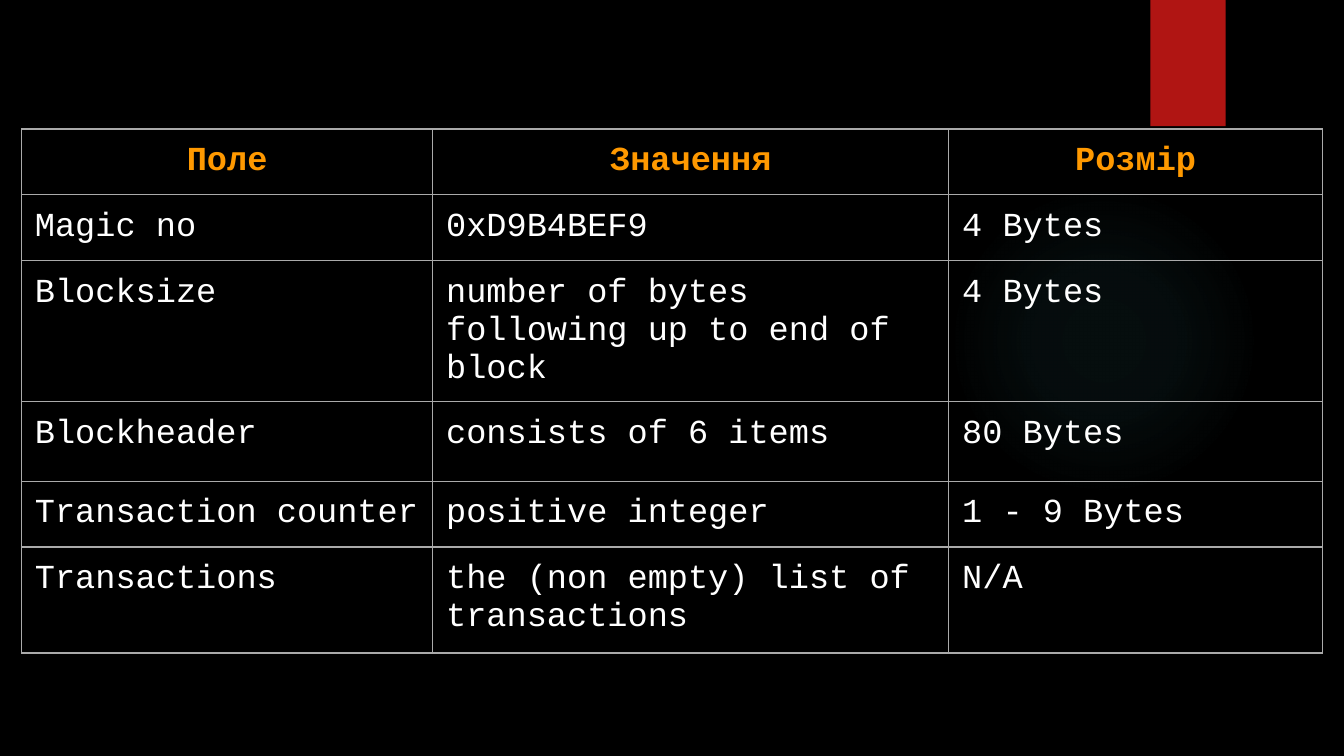
from pptx import Presentation
from pptx.dml.color import RGBColor
from pptx.enum.shapes import MSO_SHAPE as Shape
from pptx.enum.text import PP_ALIGN as Align
from pptx.oxml import parse_xml
from pptx.oxml.ns import nsdecls
from pptx.util import Inches, Pt

ROWS = [
    ("Поле", "Значення", "Розмір"),
    ("Magic no", "0xD9B4BEF9", "4 Bytes"),
    ("Blocksize", "number of bytes following up to end of block", "4 Bytes"),
    ("Blockheader", "consists of 6 items", "80 Bytes"),
    ("Transaction counter", "positive integer", "1 - 9 Bytes"),
    ("Тransactions", "the (non empty) list of transactions", "N/A"),
]
COLUMN_WIDTHS = (3.06, 3.84, 2.78)
ROW_HEIGHTS = (0.49, 0.49, 0.79, 0.59, 0.49, 0.79)
TABLE_HEIGHT = 3.99
GLOW_STOPS = ((0, 7), (36, 6), (69, 0))

BLACK = RGBColor(0x00, 0x00, 0x00)
WHITE = RGBColor(0xFF, 0xFF, 0xFF)
ORANGE = RGBColor(0xFF, 0x99, 0x00)
RED = RGBColor(0xB0, 0x15, 0x13)
GRAY = RGBColor(0xAA, 0xAA, 0xAA)
TEAL = RGBColor(0x50, 0xB9, 0xC1)
FONT = "Courier New"


def add_plain_shape(slide, kind, left, top, width, height):
    shape = slide.shapes.add_shape(
        kind, Inches(left), Inches(top), Inches(width), Inches(height))
    shape.shadow.inherit = False
    shape.line.fill.background()
    return shape


def add_glow(slide):
    glow = add_plain_shape(slide, Shape.OVAL, 7.06, 1.38, 2.31, 2.31)
    stops = "".join(
        f'<a:gs pos="{position * 1000}"><a:srgbClr val="{TEAL}">'
        f'<a:alpha val="{opacity * 1000}"/></a:srgbClr></a:gs>'
        for position, opacity in GLOW_STOPS)
    gradient = parse_xml(
        f'<a:gradFill {nsdecls("a")} rotWithShape="1"><a:gsLst>{stops}</a:gsLst>'
        '<a:path path="circle"><a:fillToRect l="50000" t="50000" r="50000" b="50000"/>'
        '</a:path></a:gradFill>')
    glow._element.spPr.find("{*}prstGeom").addnext(gradient)


def add_ribbon(slide):
    ribbon = add_plain_shape(slide, Shape.RECTANGLE, 8.56, 0, 0.56, 0.94)
    ribbon.fill.solid()
    ribbon.fill.fore_color.rgb = RED
    effects = ribbon._element.spPr.find("{*}effectLst")
    effects.append(parse_xml(
        f'<a:outerShdw {nsdecls("a")} blurRad="{Pt(3)}" dist="{Pt(2)}" dir="5400000">'
        f'<a:srgbClr val="{BLACK}"><a:alpha val="45000"/></a:srgbClr></a:outerShdw>'))


def set_borders(cell):
    properties = cell._tc.get_or_add_tcPr()
    for index, side in enumerate(("lnL", "lnR", "lnT", "lnB")):
        properties.insert(index, parse_xml(
            f'<a:{side} {nsdecls("a")} w="{Pt(0.75)}"><a:solidFill>'
            f'<a:srgbClr val="{GRAY}"/></a:solidFill></a:{side}>'))


def format_cell(cell, text, is_header):
    cell.text = text
    cell.fill.background()
    cell.margin_left = cell.margin_right = Inches(0.1)
    cell.margin_top = cell.margin_bottom = Inches(0.1)
    paragraph = cell.text_frame.paragraphs[0]
    paragraph.alignment = Align.CENTER if is_header else Align.LEFT
    font = paragraph.font
    font.name = FONT
    font.size = Pt(18)
    font.bold = is_header
    font.color.rgb = ORANGE if is_header else WHITE
    set_borders(cell)


def add_field_table(slide):
    frame = slide.shapes.add_table(
        len(ROWS), len(COLUMN_WIDTHS), Inches(0.16), Inches(0.96),
        Inches(sum(COLUMN_WIDTHS)), Inches(TABLE_HEIGHT))
    table = frame.table
    table.horz_banding = False
    for column, width in zip(table.columns, COLUMN_WIDTHS):
        column.width = Inches(width)
    for row, height in zip(table.rows, ROW_HEIGHTS):
        row.height = Inches(height)
    frame.height = Inches(TABLE_HEIGHT)
    for row_index, texts in enumerate(ROWS):
        for column_index, text in enumerate(texts):
            format_cell(table.cell(row_index, column_index), text, row_index == 0)


def main():
    presentation = Presentation()
    presentation.slide_width = Inches(10)
    presentation.slide_height = presentation.slide_width * 9 // 16
    slide = presentation.slides.add_slide(presentation.slide_layouts[6])
    slide.background.fill.solid()
    slide.background.fill.fore_color.rgb = BLACK
    add_glow(slide)
    add_ribbon(slide)
    add_field_table(slide)
    presentation.save("out.pptx")


if __name__ == "__main__":
    main()
